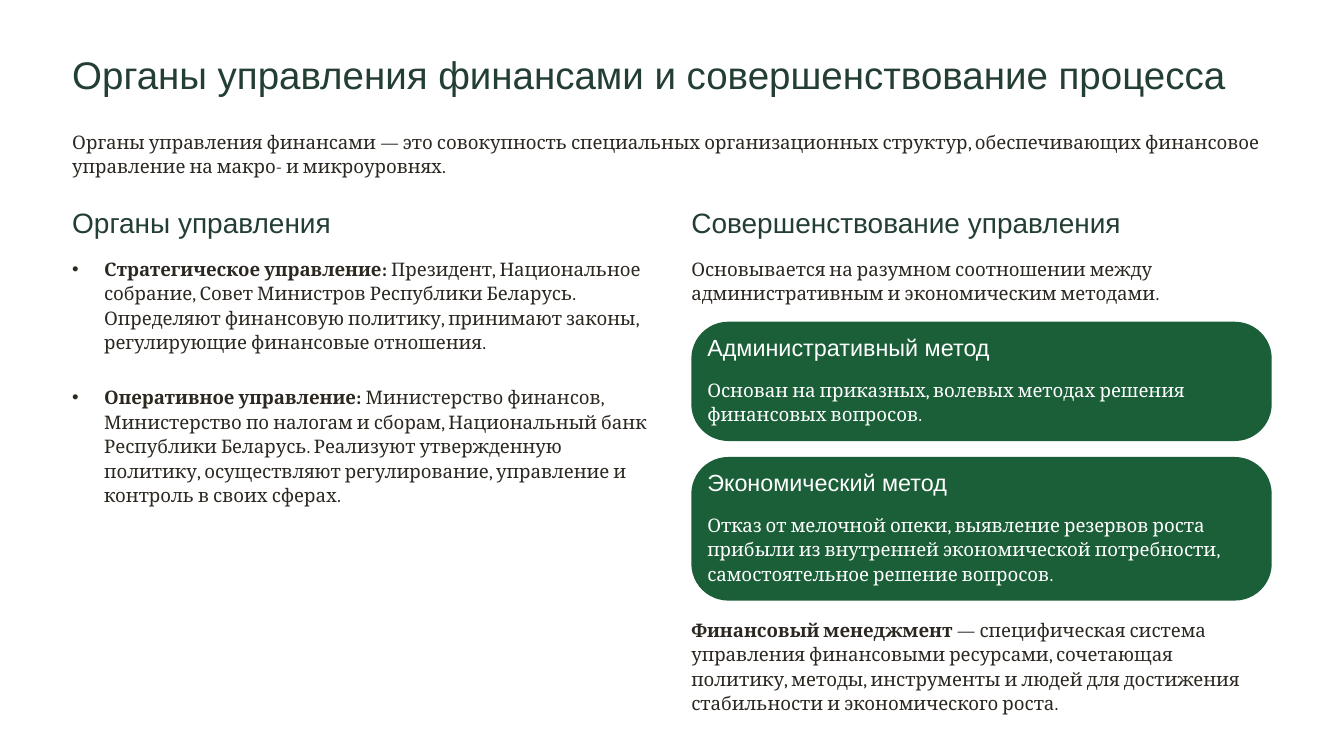
from lxml.etree import SubElement
from pptx import Presentation
from pptx.dml.color import RGBColor
from pptx.enum.shapes import MSO_SHAPE
from pptx.oxml.ns import qn
from pptx.util import Inches, Pt

COLORS = {"heading": "233E32", "body": "2C2821", "card": "1B5F39", "on_card": "FFFFFF"}
MARGIN, COLUMN, GUTTER = 0.86, 6.91, 0.46
LEFT, RIGHT = (MARGIN + i * (COLUMN + GUTTER) for i in range(2))
FULL = 2 * COLUMN + GUTTER
SECTION_ROW, CONTENT_ROW = 2.51, 3.04
LINE = 0.29
INDENT = 0.38
CARD_PAD, CARD_INSET, CARD_GAP, CARD_RADIUS = 0.18, 0.19, 0.19, 0.44


def add_text(slide, box, text, size, spacing, font, color, wrap=True, lead="", bullet=False):
    frame = slide.shapes.add_textbox(*map(Inches, box)).text_frame
    frame.margin_left = frame.margin_right = frame.margin_top = frame.margin_bottom = 0
    frame.word_wrap = wrap
    paragraph = frame.paragraphs[0]
    paragraph.text = lead or text
    if lead:
        paragraph.runs[0].font.bold = True
        paragraph.add_run().text = text
    paragraph.line_spacing = Pt(spacing)
    if bullet:
        properties = paragraph._p.get_or_add_pPr()
        properties.set("marL", str(Inches(INDENT)))
        properties.set("indent", str(-Inches(INDENT)))
        SubElement(properties, qn("a:buFont"), typeface="Arial")
        SubElement(properties, qn("a:buChar"), char="•")
    for run in paragraph.runs:
        run.font.name = font
        run.font.size = Pt(size)
        run.font.color.rgb = RGBColor.from_string(COLORS[color])


def add_heading(slide, left, top, width, height, text, size, spacing, color="heading"):
    add_text(slide, (left, top, width, height), text, size, spacing, "Arial", color, wrap=False)


def add_body(slide, left, top, width, lines, text, color="body", **options):
    add_text(slide, (left, top, width, lines * LINE), text, 16, 21, "Cambria", color, **options)


def add_card(slide, top, name, lines, text):
    height = 3 * CARD_PAD + (lines + 1) * LINE + 0.01
    card = slide.shapes.add_shape(
        MSO_SHAPE.ROUNDED_RECTANGLE, *map(Inches, (RIGHT, top, COLUMN, height)))
    card.adjustments[0] = CARD_RADIUS / height
    card.shadow.inherit = False
    card.fill.solid()
    card.fill.fore_color.rgb = RGBColor.from_string(COLORS["card"])
    card.line.fill.background()
    left, width = RIGHT + CARD_INSET, COLUMN - 2 * CARD_INSET
    add_heading(slide, left, top + CARD_PAD, width, LINE, name, 20, 20.5, "on_card")
    add_body(slide, left, top + 2 * CARD_PAD + LINE, width, lines, text, "on_card")
    return top + height + CARD_GAP


def main():
    deck = Presentation()
    deck.slide_width, deck.slide_height = Inches(16), Inches(9)
    slide = deck.slides.add_slide(deck.slide_layouts[6])

    add_heading(slide, LEFT, 0.59, FULL, 0.57,
                "Органы управления финансами и совершенствование процесса", 33, 41)
    add_body(slide, LEFT, 1.53, FULL, 2,
             "Органы управления финансами — это совокупность специальных организационных "
             "структур, обеспечивающих финансовое управление на макро- и микроуровнях.")

    for left, section in ((LEFT, "Органы управления"), (RIGHT, "Совершенствование управления")):
        add_heading(slide, left, SECTION_ROW, COLUMN, 0.34, section, 24, 24.5)

    levels = (
        (CONTENT_ROW, 4, "Стратегическое управление:",
         " Президент, Национальное собрание, Совет Министров Республики Беларусь. Определяют "
         "финансовую политику, принимают законы, регулирующие финансовые отношения."),
        (4.57, 5, "Оперативное управление:",
         " Министерство финансов, Министерство по налогам и сборам, Национальный банк "
         "Республики Беларусь. Реализуют утвержденную политику, осуществляют регулирование, "
         "управление и контроль в своих сферах."),
    )
    for top, lines, lead, text in levels:
        add_body(slide, LEFT, top, COLUMN, lines, text, lead=lead, bullet=True)

    add_body(slide, RIGHT, CONTENT_ROW, COLUMN, 2,
             "Основывается на разумном соотношении между административным "
             "и экономическим методами.")
    methods = (
        ("Административный метод", 2,
         "Основан на приказных, волевых методах решения финансовых вопросов."),
        ("Экономический метод", 3,
         "Отказ от мелочной опеки, выявление резервов роста прибыли из внутренней "
         "экономической потребности, самостоятельное решение вопросов."),
    )
    top = 3.83
    for method in methods:
        top = add_card(slide, top, *method)
    add_body(slide, RIGHT, top, COLUMN, 4,
             " — специфическая система управления финансовыми ресурсами, сочетающая политику, "
             "методы, инструменты и людей для достижения стабильности и экономического роста.",
             lead="Финансовый менеджмент")

    deck.save("out.pptx")


if __name__ == "__main__":
    main()
